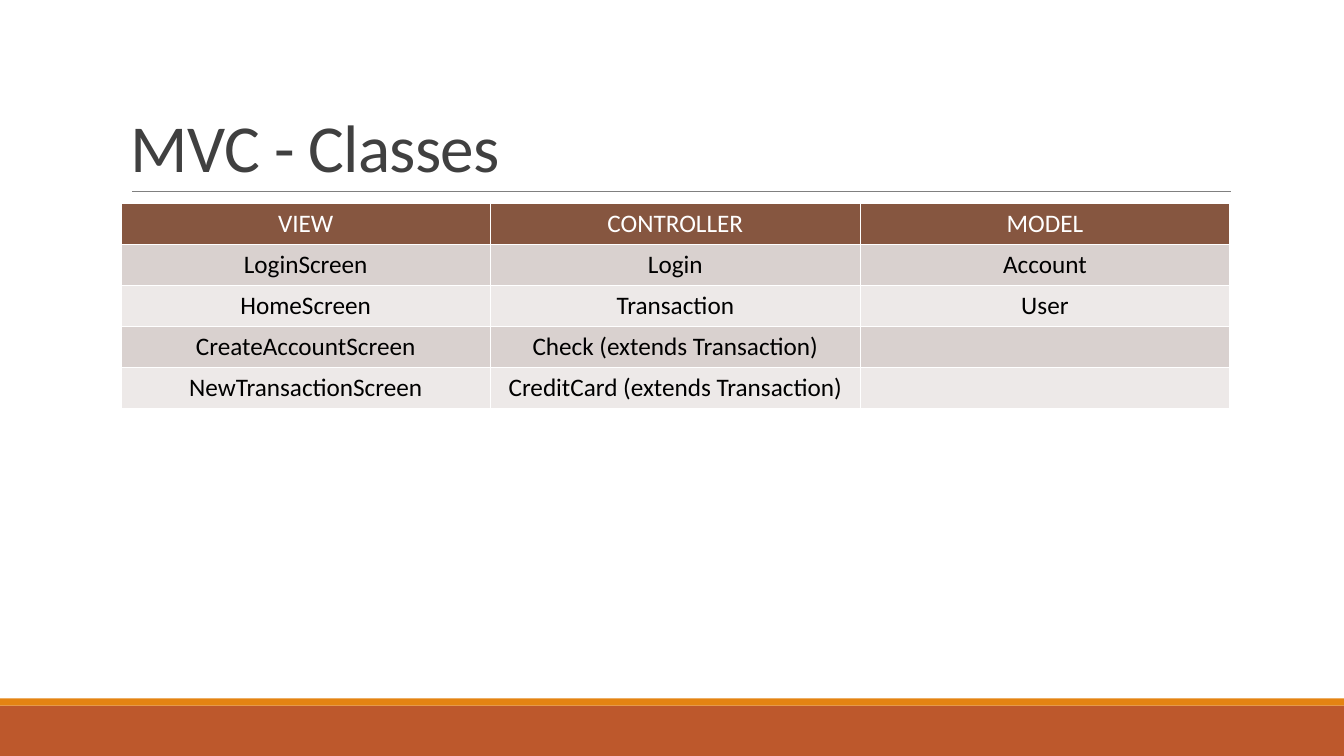
from lxml import etree
from pptx import Presentation
from pptx.dml.color import RGBColor
from pptx.enum.shapes import MSO_CONNECTOR, MSO_SHAPE
from pptx.enum.text import MSO_ANCHOR, PP_ALIGN
from pptx.oxml.ns import qn
from pptx.util import Inches, Pt

RECT = MSO_SHAPE.RECTANGLE
LINE = MSO_CONNECTOR.STRAIGHT
BOTTOM = MSO_ANCHOR.BOTTOM
CENTER = PP_ALIGN.CENTER

COLS, ROWS = 40, 75
HUES = {
    "rust": "BD582C", "orange": "E48312", "rule": "808080",
    "title": "404040", "head": "865640", "dark": "D9D1CF",
    "light": "EDE9E8", "white": "FFFFFF", "black": "000000",
}
CELLS = [
    ("VIEW", "CONTROLLER", "MODEL"),
    ("LoginScreen", "Login", "Account"),
    ("HomeScreen", "Transaction", "User"),
    ("CreateAccountScreen", "Check (extends Transaction)", ""),
    ("NewTransactionScreen", "CreditCard (extends Transaction)", ""),
]


class Deck:
    """Holds the style and the current slide; lengths are grid columns and rows."""

    def __init__(self):
        self.prs = Presentation()
        self.prs.slide_width = 12192000
        self.prs.slide_height = Inches(7.5)
        self.slide = self.prs.slides.add_slide(self.prs.slide_layouts[6])
        self.shapes = self.slide.shapes
        self.font = {"name": "Calibri", "bold": False}

    def place(self, x, y, *size):
        wide = self.prs.slide_width / COLS
        high = self.prs.slide_height / ROWS
        steps = (wide, high) * 2
        return [round(n * step) for n, step in zip((x, y, *size), steps)]

    def hue(self, name):
        return RGBColor.from_string(HUES[name])

    def paint(self, item, name):
        item.fill.solid()
        item.fill.fore_color.rgb = self.hue(name)

    def label(self, para, text, size, color):
        run = para.add_run()
        run.text = text
        for key, value in {**self.font, "size": Pt(size)}.items():
            setattr(run.font, key, value)
        run.font.color.rgb = self.hue(color)
        return run

    def band(self, box, color):
        shape = self.shapes.add_shape(RECT, *self.place(*box))
        shape.shadow.inherit = False
        self.paint(shape, color)
        shape.line.fill.background()

    def rule(self, ends, color, width):
        line = self.shapes.add_connector(LINE, *self.place(*ends))
        line.line.color.rgb = self.hue(color)
        line.line.width = Pt(width)
        etree.SubElement(line.element.spPr, qn("a:effectLst"))

    def title(self, box, text):
        frame = self.shapes.add_textbox(*self.place(*box)).text_frame
        for key, value in {"word_wrap": True, "vertical_anchor": BOTTOM}.items():
            setattr(frame, key, value)
        para = frame.paragraphs[0]
        para.line_spacing = 0.85
        run = self.label(para, text, 48, "title")
        run._r.get_or_add_rPr().set("spc", "-50")

    def table(self, box, rows):
        frame = self.shapes.add_table(len(rows), len(rows[0]), *self.place(*box))
        for r, row in enumerate(rows):
            fill = "head" if r == 0 else "dark" if r % 2 else "light"
            for c, text in enumerate(row):
                cell = frame.table.cell(r, c)
                self.paint(cell, fill)
                if text:
                    para = cell.text_frame.paragraphs[0]
                    para.alignment = CENTER
                    self.label(para, text, 18, "black" if r else "white")


def main():
    deck = Deck()
    # Footer bands
    deck.band((0, 70, COLS, 5), "rust")
    deck.band((0, 69.3, COLS, 0.7), "orange")
    # Heading
    deck.rule((3.93, 19, 36.63, 19), "rule", 0.5)
    deck.title((3.6, 3.1, 33, 15.9), "MVC - Classes")
    # Class table
    deck.table((3.6, 20.2, 33, 20.3), CELLS)
    deck.prs.save("out.pptx")


if __name__ == "__main__":
    main()
